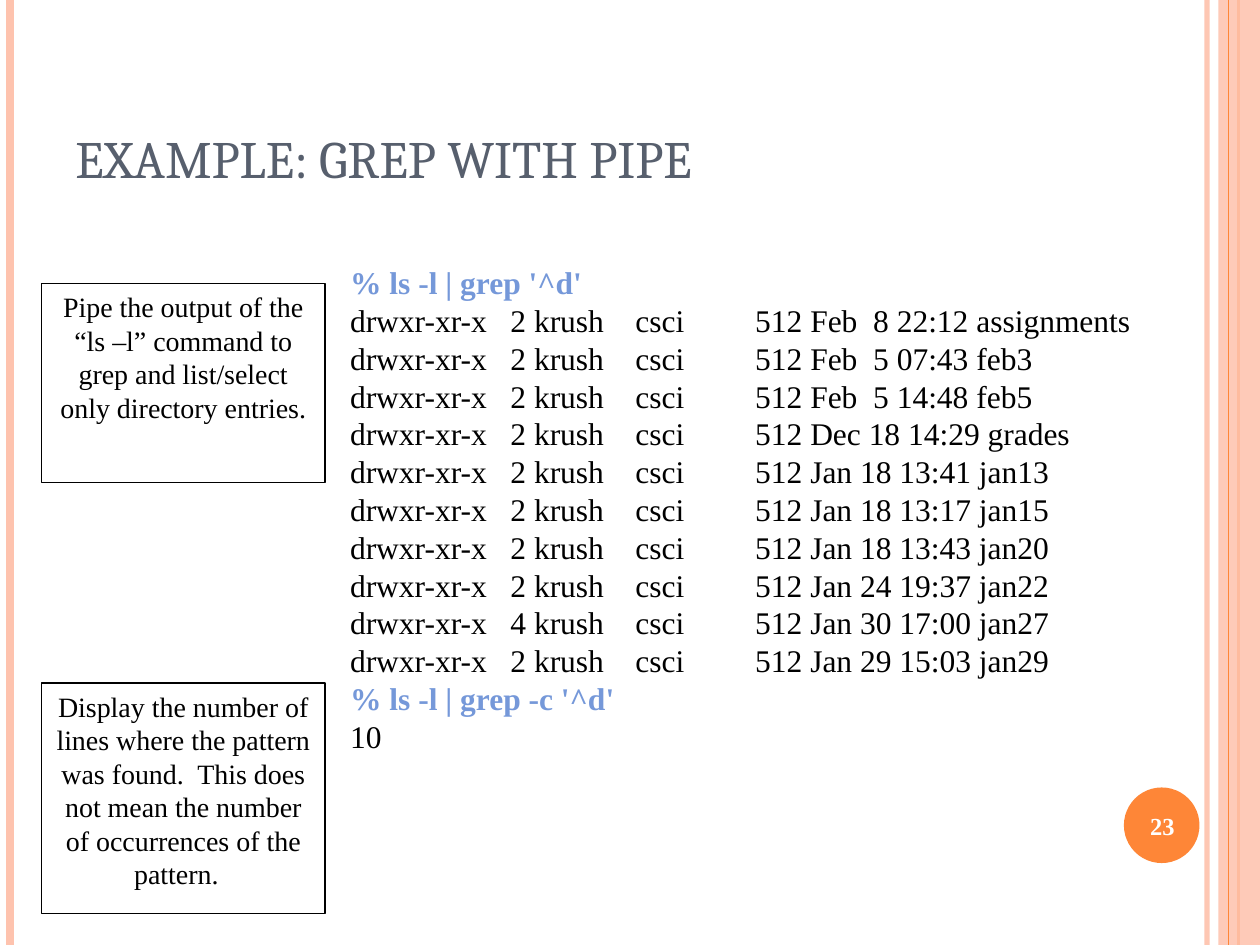
from dataclasses import dataclass

from lxml import etree
from pptx import Presentation
from pptx.dml.color import RGBColor
from pptx.enum.shapes import MSO_CONNECTOR, MSO_SHAPE
from pptx.enum.text import MSO_ANCHOR, MSO_AUTO_SIZE, PP_ALIGN
from pptx.oxml.ns import qn
from pptx.util import Inches, Pt

STRAIGHT = MSO_CONNECTOR.STRAIGHT
RECTANGLE, ELLIPSE = MSO_SHAPE.RECTANGLE, MSO_SHAPE.OVAL
CALLOUT = MSO_SHAPE.RECTANGULAR_CALLOUT
TOP, MIDDLE, BOTTOM = MSO_ANCHOR.TOP, MSO_ANCHOR.MIDDLE, MSO_ANCHOR.BOTTOM
LEFT, CENTER = PP_ALIGN.LEFT, PP_ALIGN.CENTER
NO_FIT, GROW = MSO_AUTO_SIZE.NONE, MSO_AUTO_SIZE.SHAPE_TO_FIT_TEXT

SLIDE_WIDTH, SLIDE_HEIGHT = 10, 7.5


@dataclass(frozen=True)
class Theme:
    peach: str = "FEC3AE"
    orange: str = "FE8637"
    slate: str = "575F6D"
    blue: str = "7598D9"
    black: str = "000000"
    white: str = "FFFFFF"
    heading_font: str = "Cambria"
    body_font: str = "Times New Roman"
    title_size: int = 30
    listing_size: int = 18
    note_size: int = 16
    number_size: int = 14


# x, colour, width in points, opacity in percent
STRIPES = [
    (9.58, Theme.peach, 3, 93),
    (0.08, Theme.peach, 4.5, 100),
    (9.83, Theme.orange, 1.5, 100),
]

# link count, date, directory name
DIRECTORIES = [
    (2, "Feb  8 22:12", "assignments"),
    (2, "Feb  5 07:43", "feb3"),
    (2, "Feb  5 14:48", "feb5"),
    (2, "Dec 18 14:29", "grades"),
    (2, "Jan 18 13:41", "jan13"),
    (2, "Jan 18 13:17", "jan15"),
    (2, "Jan 18 13:43", "jan20"),
    (2, "Jan 24 19:37", "jan22"),
    (4, "Jan 30 17:00", "jan27"),
    (2, "Jan 29 15:03", "jan29"),
]

# top, height, pointer position, text
NOTES = [
    (2.25, 1.58, (-0.5, 0.25),
     "Pipe the output of the “ls –l” command to grep and list/select "
     "only directory entries."),
    (5.42, 1.83, (-0.19, 0.5),
     "Display the number of lines where the pattern was found.  This does "
     "not mean the number of occurrences of the pattern.  "),
]


def set_opacity(element, percent):
    color = next(element.iter(qn("a:srgbClr")))
    etree.SubElement(color, qn("a:alpha"), val=str(percent * 1000))


class SlideBuilder:
    def __init__(self, slide, theme):
        self.slide = slide
        self.theme = theme

    def stripe(self, x, color, width, opacity=100):
        """Draw a vertical line over the full height of the slide."""
        line = self.slide.shapes.add_connector(
            STRAIGHT, Inches(x), Inches(0), Inches(x), Inches(SLIDE_HEIGHT))
        line.line.color.rgb = RGBColor.from_string(color)
        line.line.width = Pt(width)
        properties = line._element.spPr
        if opacity < 100:
            set_opacity(properties, opacity)
        etree.SubElement(properties, qn("a:effectLst"))

    def shape(self, kind, place, fill=None, outline=None, opacity=100):
        shape = self.slide.shapes.add_shape(kind, *map(Inches, place))
        shape.shadow.inherit = False
        if fill:
            shape.fill.solid()
            shape.fill.fore_color.rgb = RGBColor.from_string(fill)
            if opacity < 100:
                set_opacity(shape._element.spPr, opacity)
        else:
            shape.fill.background()
        if outline:
            shape.line.color.rgb = RGBColor.from_string(outline)
            shape.line.width = Pt(0.75)
        else:
            shape.line.fill.background()
        return shape

    def text(self, place, lines, font, **layout):
        box = self.slide.shapes.add_textbox(*map(Inches, place))
        self.fill_text(box, lines, font, **layout)

    def note(self, place, pointer, text):
        box = self.shape(CALLOUT, place, outline=self.theme.black)
        for index, value in enumerate(pointer):
            box.adjustments[index] = value
        font = {"name": self.theme.body_font, "size": Pt(self.theme.note_size)}
        self.fill_text(box, [(text, self.theme.black, False)], font, align=CENTER)

    def fill_text(self, box, lines, font, anchor=TOP, align=LEFT,
                  wrap=True, fit=NO_FIT):
        """Fill a box with one paragraph per (text, colour, bold) line."""
        frame = box.text_frame
        frame_format = {"word_wrap": wrap, "auto_size": fit,
                        "vertical_anchor": anchor}
        for name, value in frame_format.items():
            setattr(frame, name, value)
        for index, (text, color, bold) in enumerate(lines):
            para = frame.add_paragraph() if index else frame.paragraphs[0]
            para.alignment = align
            span = para.add_run()
            span.text = text
            for name, value in {**font, "bold": bold}.items():
                setattr(span.font, name, value)
            span.font.color.rgb = RGBColor.from_string(color)


def main():
    theme = Theme()
    deck = Presentation()
    deck.slide_width = Inches(SLIDE_WIDTH)
    deck.slide_height = Inches(SLIDE_HEIGHT)
    page = SlideBuilder(deck.slides.add_slide(deck.slide_layouts[6]), theme)

    for stripe in STRIPES:
        page.stripe(*stripe)
    page.shape(RECTANGLE, (9.67, 0, 0.33, SLIDE_HEIGHT), theme.peach, opacity=87)
    page.stripe(9.75, theme.orange, 0.75)
    page.shape(ELLIPSE, (8.92, 6.25, 0.6, 0.6), theme.orange)

    page.text((0.5, 0.3, 8.17, 1.25),
              [("EXAMPLE: GREP WITH PIPE", theme.slate, False)],
              {"name": theme.heading_font, "size": Pt(theme.title_size)},
              anchor=BOTTOM)
    page.text((8.89, 6.27, 0.67, 0.57), [("23", theme.white, True)],
              {"name": theme.body_font, "size": Pt(theme.number_size)},
              anchor=MIDDLE, align=CENTER)

    entries = [
        (f"drwxr-xr-x   {links} krush    csci         512 {date} {name}",
         theme.black, False)
        for links, date, name in DIRECTORIES
    ]
    listing = [
        ("% ls -l | grep '^d'", theme.blue, True),
        *entries,
        ("% ls -l | grep -c '^d'", theme.blue, True),
        ("10", theme.black, False),
    ]
    page.text((2.68, 2.04, 6.41, 4.3), listing,
              {"name": theme.body_font, "size": Pt(theme.listing_size)},
              wrap=False, fit=GROW)

    for top, height, pointer, text in NOTES:
        page.note((0.33, top, 2.25, height), pointer, text)

    deck.save("out.pptx")


if __name__ == "__main__":
    main()
